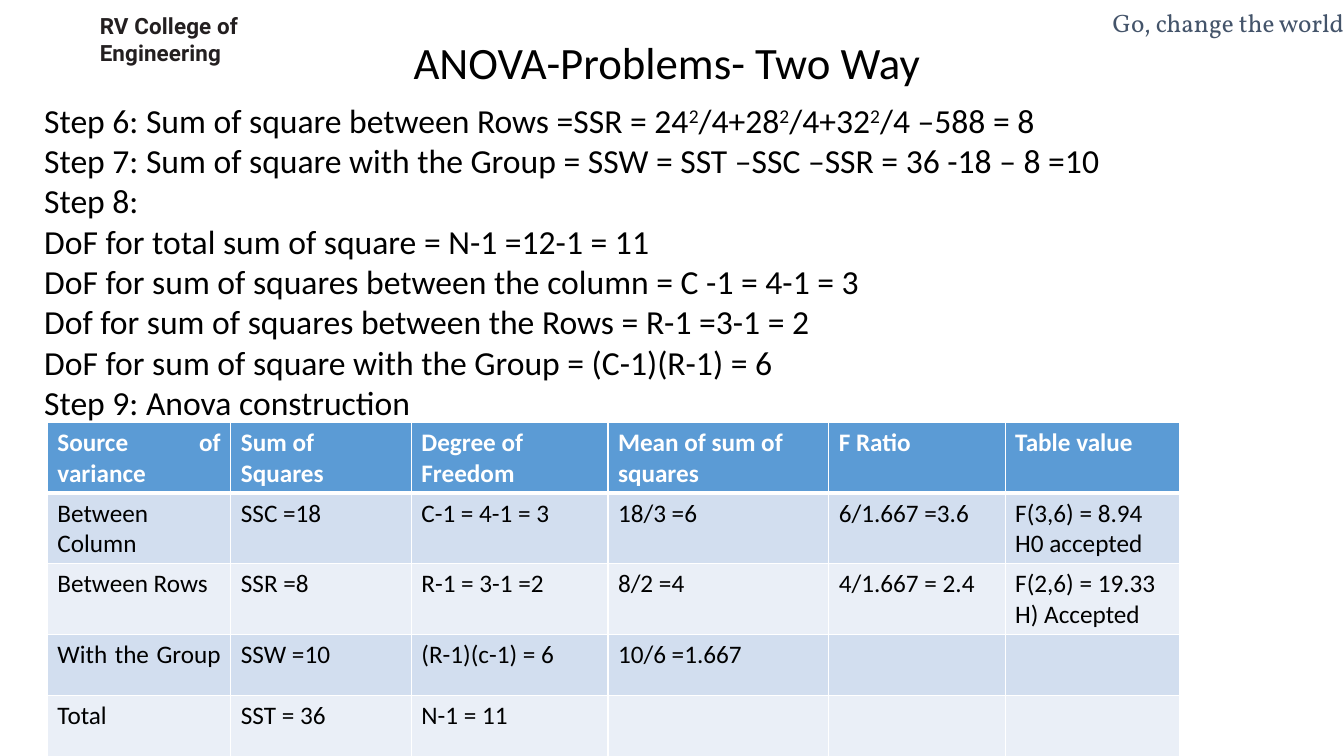
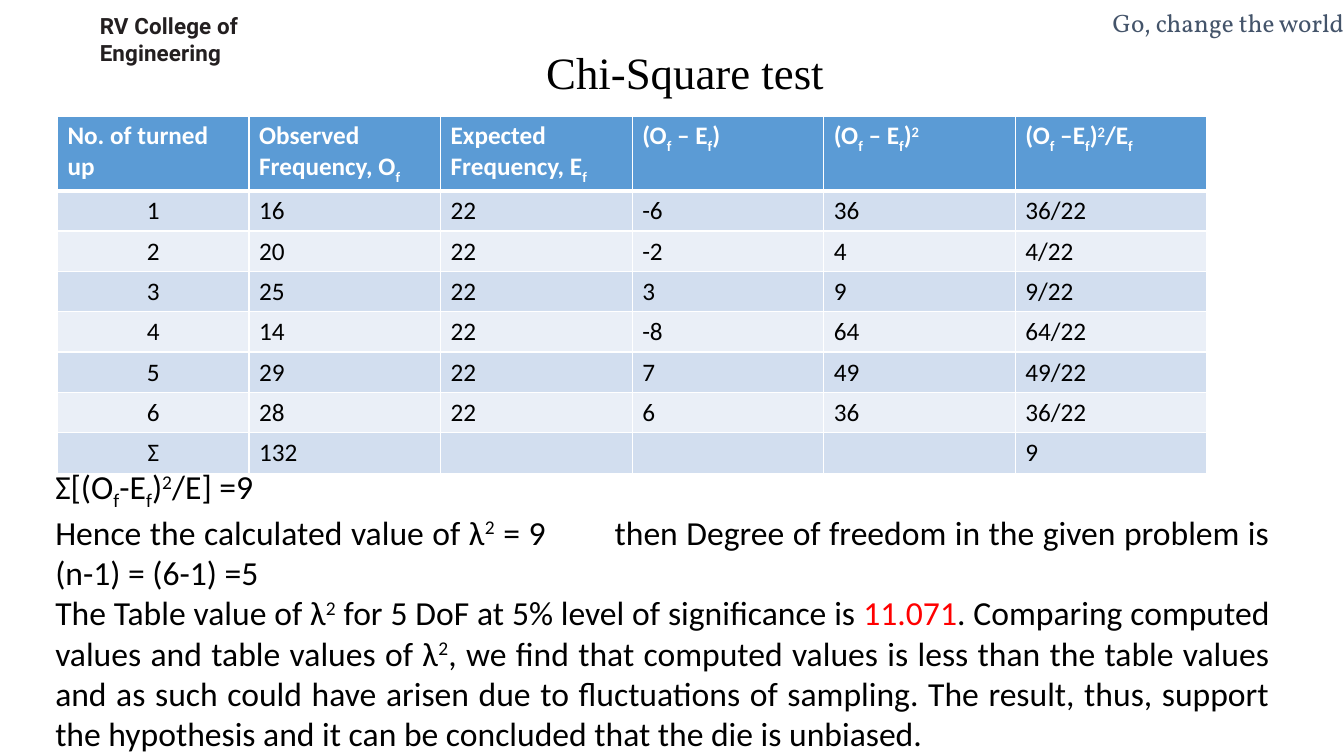
from lxml import etree
from pptx import Presentation
from pptx.dml.color import RGBColor
from pptx.enum.text import PP_ALIGN as Align
from pptx.oxml.ns import qn
from pptx.util import Inches, Pt

WHITE = RGBColor(0xFF, 0xFF, 0xFF)
BLACK = RGBColor(0, 0, 0)
RED = RGBColor(0xFF, 0, 0)
INK = RGBColor(0x23, 0x1F, 0x20)
SLATE = RGBColor(0x44, 0x54, 0x6A)
HEADER_BLUE = RGBColor(0x5B, 0x9B, 0xD5)
BANDS = (RGBColor(0xD2, 0xDE, 0xEF), RGBColor(0xEA, 0xEF, 0xF7))
BODY_FONT = "Calibri"
BASELINES = {"^": "30000", "_": "-25000"}

ANOVA_STEPS = [
    "Step 6: Sum of square between Rows =SSR = 24|^2|/4+28|^2|/4+32|^2|/4 –588 = 8",
    "Step 7: Sum of square with the Group = SSW = SST –SSC –SSR = 36 -18 – 8 =10",
    "Step 8:",
    "DoF for total sum of square = N-1 =12-1 = 11",
    "DoF for sum of squares between the column = C -1 = 4-1 = 3",
    "Dof for sum of squares between the Rows = R-1 =3-1 = 2",
    "DoF for sum of square with the Group = (C-1)(R-1) = 6",
    "Step 9: Anova construction",
]
ANOVA_ROWS = [
    ["Source of variance", "Sum of Squares", "Degree of Freedom",
     "Mean of sum of squares", "F Ratio", "Table value"],
    ["Between Column", "SSC =18", "C-1 = 4-1 = 3", "18/3 =6", "6/1.667 =3.6",
     "F(3,6) = 8.94\nH0 accepted"],
    ["Between Rows", "SSR =8", "R-1 = 3-1 =2", "8/2 =4", "4/1.667 = 2.4",
     "F(2,6) = 19.33\nH) Accepted"],
    ["With the Group ", "SSW =10", "(R-1)(c-1) = 6", "10/6 =1.667", "", ""],
    ["Total", "SST = 36", "N-1 = 11", "", "", ""],
]
CHI_ROWS = [
    ["No. of turned up", "Observed Frequency, O|_f", "Expected Frequency, E|_f",
     "(O|_f| – E|_f|)", "(O|_f| – E|_f|)|^2", "(O|_f| –E|_f|)|^2|/E|_f"],
    ["1", "16", "22", "-6", "36", "36/22"],
    ["2", "20", "22", "-2", "4", "4/22"],
    ["3", "25", "22", "3", "9", "9/22"],
    ["4", "14", "22", "-8", "64", "64/22"],
    ["5", "29", "22", "7", "49", "49/22"],
    ["6", "28", "22", "6", "36", "36/22"],
    ["Σ", "132", "", "", "", "9"],
]
CHI_CONCLUSION = [
    "Σ[(O|_f|-E|_f|)|^2|/E] =9",
    "Hence the calculated value of λ|^2| = 9\tthen Degree of freedom in the given "
    "problem is (n-1) = (6-1) =5",
    "The Table value of λ|^2| for 5 DoF at 5% level of significance is |!11.071|. "
    "Comparing computed values and table values of λ|^2|, we find that computed values "
    "is less than the table values and as such could have arisen due to fluctuations of "
    "sampling. The result, thus, support the hypothesis and it can be concluded that "
    "the die is unbiased.",
]


def write_rich(frame, lines, size, color=BLACK, font=BODY_FONT, bold=False,
               align=Align.LEFT):
    """Write paragraphs; "|" parts spans, led by ^ (raised), _ (lowered) or ! (red)."""
    for index, line in enumerate(lines):
        para = frame.paragraphs[0] if index == 0 else frame.add_paragraph()
        para.alignment = align
        for piece in filter(None, line.split("|")):
            mark = piece[0] if piece[0] in "^_!" else ""
            span = para.add_run()
            span.text = piece[len(mark):]
            span.font.name, span.font.size, span.font.bold = font, Pt(size), bold
            span.font.color.rgb = RED if mark == "!" else color
            if mark in BASELINES:
                span.font._element.set("baseline", BASELINES[mark])


def add_text(page, left, top, width, height, lines, size, inset=None, **style):
    box = page.shapes.add_textbox(Inches(left), Inches(top), Inches(width), Inches(height))
    frame = box.text_frame
    frame.word_wrap = True
    if inset is not None:
        frame.margin_left = frame.margin_right = frame.margin_bottom = 0
        frame.margin_top = Inches(inset)
    write_rich(frame, lines, size, **style)
    return box


def add_title(page, left, top, width, text, font):
    add_text(page, left, top, width, 0.64, [text], 32, font=font, align=Align.CENTER)


def add_body(page, left, top, width, height, lines):
    return add_text(page, left, top, width, height, lines, 24, align=Align.JUSTIFY)


def add_branding(page):
    """Place the college name and motto on the layout that all pages share."""
    college = add_text(page, 0.99, 0.1, 1.5, 0.54, ["RV College of", "Engineering"], 16,
                       inset=0.04, color=INK, font="Roboto", bold=True)
    for index, para in enumerate(college.text_frame.paragraphs):
        para.line_spacing = Pt(17.9)
        if index:
            para.space_before = Pt(1.4)
        para.runs[0].font._element.set("spc", "10")
    motto = add_text(page, 9.31, 0.07, 4.02, 0.51, ["Go, change the world"], 18,
                     inset=0, color=SLATE, font="Vollkorn", align=Align.RIGHT)
    for box in (college, motto):
        page.slide_layout.shapes.element.append(box.element)


def set_borders(cell, top, bottom):
    properties = cell._tc.get_or_add_tcPr()
    for side, width in (("L", 1), ("R", 1), ("T", top), ("B", bottom)):
        line = etree.SubElement(properties, qn(f"a:ln{side}"), w=str(Pt(width)))
        fill = etree.SubElement(line, qn("a:solidFill"))
        etree.SubElement(fill, qn("a:srgbClr"), val=str(WHITE))


def add_banded_table(page, left, top, widths, heights, rows, first_header, first_body):
    """first_header and first_body align the first column; the rest is left-aligned."""
    table = page.shapes.add_table(
        len(rows), len(widths), Inches(left), Inches(top),
        Inches(sum(widths)), Inches(sum(heights))).table
    for column, width in zip(table.columns, widths):
        column.width = Inches(width)
    for r, (row, height) in enumerate(zip(rows, heights)):
        table.rows[r].height = Inches(height)
        header = r == 0
        for c, text in enumerate(row):
            cell = table.cell(r, c)
            set_borders(cell, 3 if r == 1 else 1, 3 if header else 1)
            cell.fill.solid()
            cell.fill.fore_color.rgb = HEADER_BLUE if header else BANDS[(r - 1) % 2]
            first_align = first_header if header else first_body
            write_rich(cell.text_frame, text.split("\n"), 18,
                       color=WHITE if header else BLACK, bold=header,
                       align=Align.LEFT if c else first_align)


def add_tab_stop(para, position):
    stops = etree.SubElement(para._p.get_or_add_pPr(), qn("a:tabLst"))
    etree.SubElement(stops, qn("a:tab"), pos=str(Inches(position)), algn="l")


def build_anova(page):
    add_title(page, 2.6, 0.3, 8.03, "ANOVA-Problems- Two Way", BODY_FONT)
    add_body(page, 0.34, 0.94, 12.64, 3.33, ANOVA_STEPS)
    add_banded_table(page, 0.47, 4.19, [1.82, 1.79, 1.95, 2.19, 1.75, 1.73],
                     [0.61] * len(ANOVA_ROWS), ANOVA_ROWS, Align.JUSTIFY, Align.JUSTIFY)


def build_chi_square(page):
    add_title(page, 1.69, 0.39, 10.21, "Chi-Square test", "Times New Roman")
    add_banded_table(page, 0.57, 1.15, [1.9] * 6, [0.73] + [0.4] * (len(CHI_ROWS) - 1),
                     CHI_ROWS, Align.LEFT, Align.CENTER)
    conclusion = add_body(page, 0.45, 4.57, 12.24, 2.93, CHI_CONCLUSION)
    add_tab_stop(conclusion.text_frame.paragraphs[1], 5.48)


def main():
    deck = Presentation()
    deck.slide_width, deck.slide_height = Inches(13.33), Inches(7.5)
    blank = deck.slide_layouts[6]
    anova, chi_square = (deck.slides.add_slide(blank) for _ in range(2))
    add_branding(anova)
    build_anova(anova)
    build_chi_square(chi_square)
    deck.save("out.pptx")


if __name__ == "__main__":
    main()
